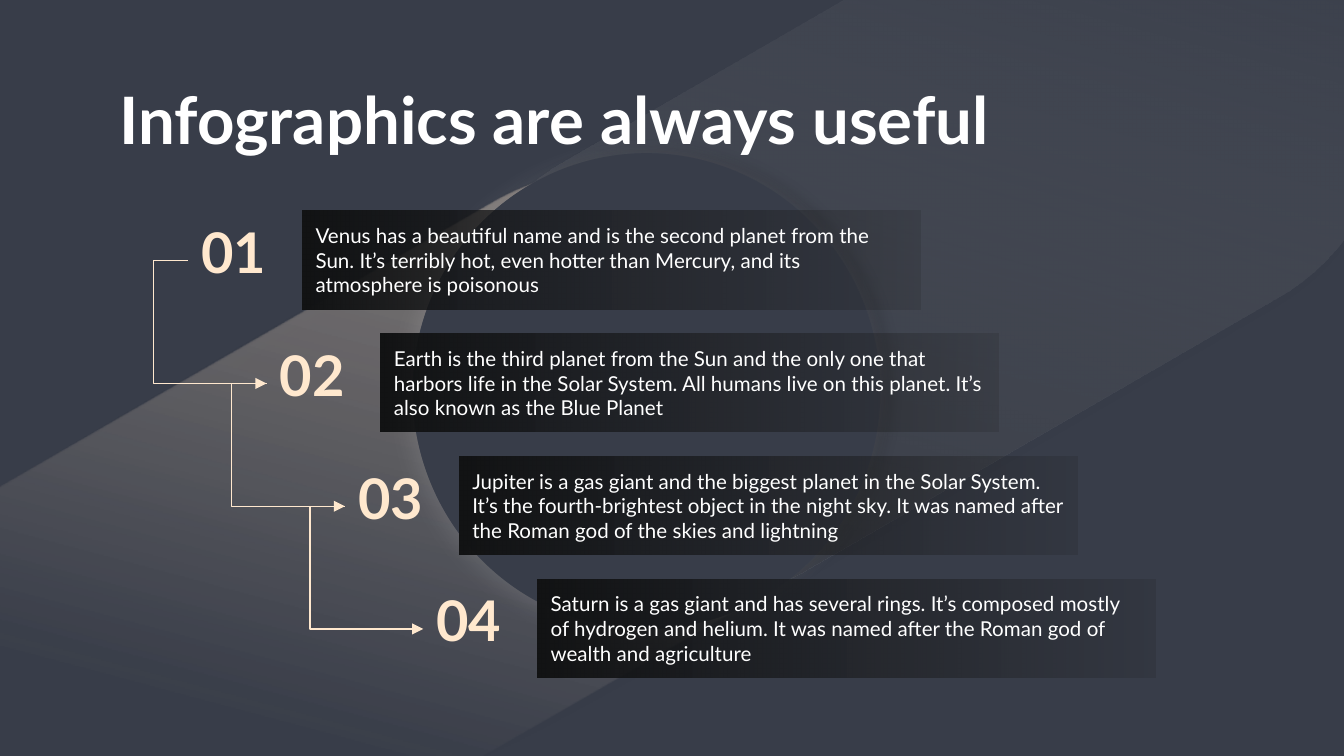
from lxml import etree
from pptx import Presentation
from pptx import util as u
from pptx.dml.color import RGBColor
from pptx.enum import shapes, text
from pptx.oxml import ns

WIDTH = u.Inches(10)
HEIGHT = WIDTH * 9 // 16
STEP_X, STEP_Y = 5.83, 16.24
WHITE, CREAM, NIGHT, BLACK, SOOT = "FFFFFF", "FFE8CE", "383D49", "121314", "191919"
BODY = {"size": u.Pt(11), "bold": False}
NUMBER = {"size": u.Pt(30), "bold": True}
TITLE = {"size": u.Pt(35), "bold": True}
PLANETS = [
    "Venus has a beautiful name and is the second planet from the Sun. "
    "It’s terribly hot, even hotter than Mercury, and its atmosphere is poisonous",
    "Earth is the third planet from the Sun and the only one that harbors life "
    "in the Solar System. All humans live on this planet. It’s also known as the Blue Planet",
    "Jupiter is a gas giant and the biggest planet in the Solar System. It’s the "
    "fourth-brightest object in the night sky. It was named after the Roman god "
    "of the skies and lightning",
    "Saturn is a gas giant and has several rings. It’s composed mostly of hydrogen "
    "and helium. It was named after the Roman god of wealth and agriculture",
]


def color(value):
    return RGBColor.from_string(value)


def share(x, y):
    return int(WIDTH * x / 100), int(HEIGHT * y / 100)


def node(parent, tag, **attrs):
    return etree.SubElement(parent, ns.qn(tag), {k: str(v) for k, v in attrs.items()})


def tint(parent, value, opacity):
    clr = node(parent, "a:srgbClr", val=value)
    if opacity < 100:
        node(clr, "a:alpha", val=opacity * 1000)


def add_shape(s, kind, box, rotation=0):
    sp = s.shapes.add_shape(kind, *share(*box[:2]), *share(*box[2:]))
    sp.rotation = rotation
    sp.line.fill.background()
    sp.shadow.inherit = False
    return sp


def fill_solid(sp, value):
    sp.fill.solid()
    sp.fill.fore_color.rgb = color(value)


def fill_gradient(sp, stops, angle):
    sp.fill.gradient()
    grad = sp._element.spPr.find(ns.qn("a:gradFill"))
    for child in list(grad):
        grad.remove(child)
    grad.set("rotWithShape", "1")
    gs_list = node(grad, "a:gsLst")
    for pos, value, opacity in stops:
        tint(node(gs_list, "a:gs", pos=pos * 1000), value, opacity)
    node(grad, "a:lin", ang=angle * 60000, scaled=0)


def add_shadow(sp, value, opacity, blur, dist, angle):
    effects = sp._element.spPr.find(ns.qn("a:effectLst"))
    shadow = node(effects, "a:outerShdw", blurRad=u.Pt(blur), dist=u.Pt(dist),
                  dir=angle * 60000, algn="bl", rotWithShape=0)
    tint(shadow, value, opacity)


def write(sp, words, value, font, anchor):
    tf = sp.text_frame
    frame = {"word_wrap": True, "vertical_anchor": anchor}
    frame.update({f"margin_{side}": u.Inches(0.1) for side in ("left", "top", "right", "bottom")})
    for name, setting in frame.items():
        setattr(tf, name, setting)
    p = tf.paragraphs[0]
    p.alignment = text.PP_ALIGN.LEFT
    r = p.add_run()
    r.text = words
    for name, setting in {"name": "Lato", **font}.items():
        setattr(r.font, name, setting)
    r.font.color.rgb = color(value)


def add_text(s, box, words, value, font, anchor):
    sp = s.shapes.add_textbox(*share(*box[:2]), *share(*box[2:]))
    write(sp, words, value, font, anchor)


def add_panel(s, box, words):
    sp = add_shape(s, shapes.MSO_SHAPE.RECTANGLE, box)
    fill_gradient(sp, [(0, BLACK, 100), (100, SOOT, 15)], 0)
    write(sp, words, WHITE, BODY, text.MSO_ANCHOR.MIDDLE)


def add_elbow(s, x, y):
    cn = s.shapes.add_connector(shapes.MSO_CONNECTOR.ELBOW, *share(x, y),
                                *share(x + STEP_X, y + STEP_Y))
    cn.line.color.rgb = color(CREAM)
    cn.line.width = u.Pt(0.75)
    spPr = cn._element.spPr
    guides = spPr.find(ns.qn("a:prstGeom")).get_or_add_avLst()
    node(guides, "a:gd", name="adj1", fmla="val -44600")
    node(spPr.find(ns.qn("a:ln")), "a:tailEnd", type="triangle", w="med", len="med")
    node(spPr, "a:effectLst")


def add_beam(s, box, stops, angle):
    sp = add_shape(s, shapes.MSO_SHAPE.ROUNDED_RECTANGLE, box, 150)
    sp.adjustments[0] = 0.5
    fill_gradient(sp, stops, angle)
    add_shadow(sp, BLACK, 10, 5.6, 4.5, 116)


def add_disc(s, rotation, shadow):
    sp = add_shape(s, shapes.MSO_SHAPE.OVAL, (30.7, 20.27, 34.8, 62.93), rotation)
    fill_solid(sp, NIGHT)
    add_shadow(sp, *shadow)


def add_eclipse(s):
    add_beam(s, (-21.1, 45.87, 87.8, 62.76),
             [(0, CREAM, 0), (39, CREAM, 0), (100, CREAM, 49)], 135)
    add_beam(s, (30.5, -1.07, 76, 62.76), [(0, WHITE, 0), (100, SOOT, 25)], 315)
    add_disc(s, 180, (BLACK, 13, 5.6, 6.8, 333))
    add_disc(s, 0, (WHITE, 10, 12.4, 3.8, 150))


def main():
    prs = Presentation()
    prs.slide_width, prs.slide_height = WIDTH, HEIGHT
    s = prs.slides.add_slide(prs.slide_layouts[6])
    s.background.fill.solid()
    s.background.fill.fore_color.rgb = color(NIGHT)
    add_eclipse(s)
    add_text(s, (7.9, 8.71, 84.3, 11.2), "Infographics are always useful",
             WHITE, TITLE, text.MSO_ANCHOR.TOP)
    for i, words in enumerate(PLANETS):
        x, y = 14 + i * STEP_X, 27.9 + i * STEP_Y
        add_text(s, (x, y + 1.42, 8.5, 10.13), f"{i + 1:02}", CREAM, NUMBER,
                 text.MSO_ANCHOR.BOTTOM)
        add_panel(s, (x + 8.5, y, 46, 13), words)
    for i in range(len(PLANETS) - 1):
        add_elbow(s, 14 + i * STEP_X, 34.49 + i * STEP_Y)
    prs.save("out.pptx")


if __name__ == "__main__":
    main()
